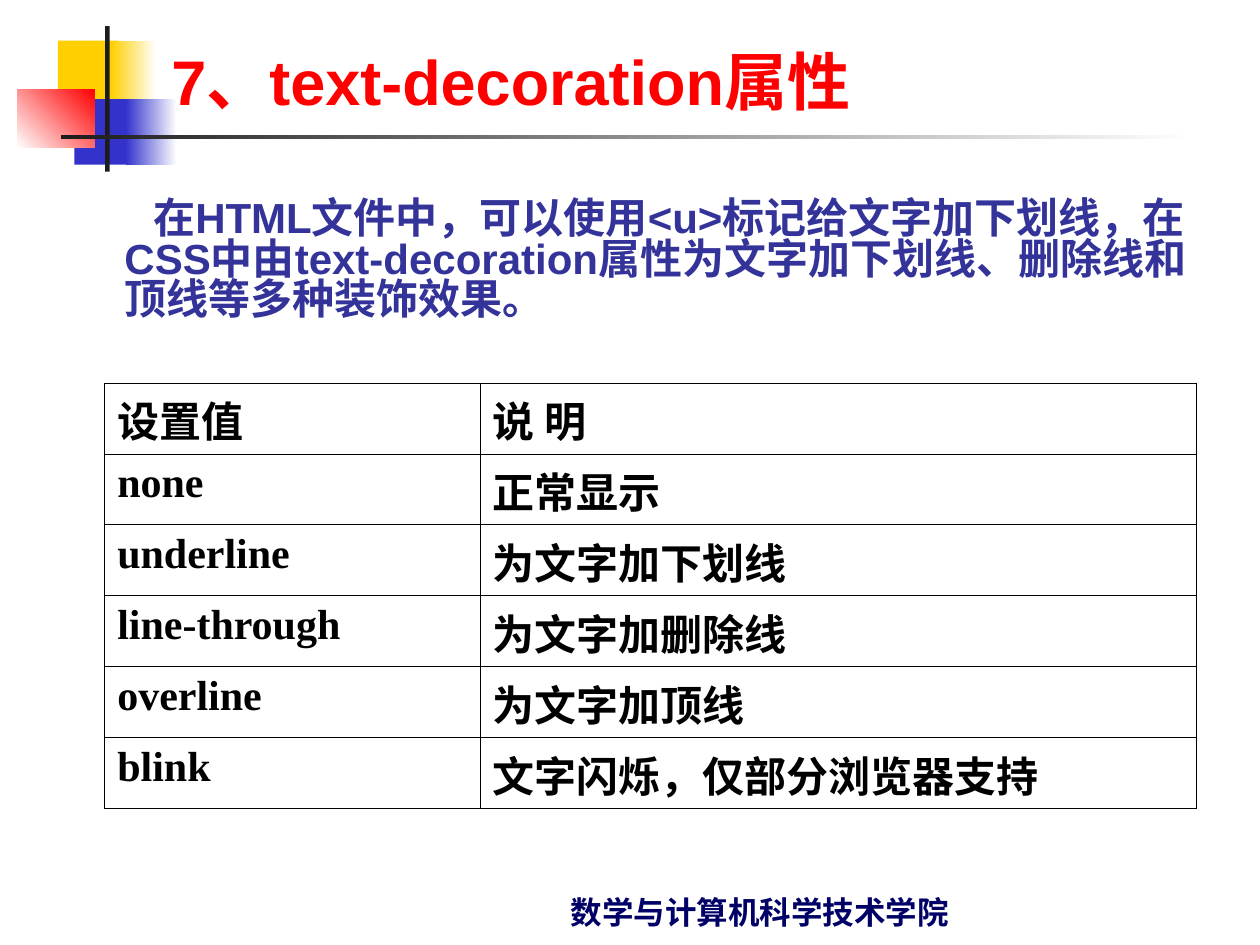
from lxml import etree
from pptx import Presentation
from pptx.dml.color import RGBColor
from pptx.enum.shapes import MSO_SHAPE
from pptx.enum.text import MSO_ANCHOR, MSO_AUTO_SIZE, PP_ALIGN
from pptx.oxml.ns import qn
from pptx.util import Cm, Pt

RECTANGLE = MSO_SHAPE.RECTANGLE
MIDDLE, BOTTOM = MSO_ANCHOR.MIDDLE, MSO_ANCHOR.BOTTOM
LEFT, CENTER = PP_ALIGN.LEFT, PP_ALIGN.CENTER
NO_AUTOFIT = MSO_AUTO_SIZE.NONE

COLORS = {
    "yellow": "FFCF01", "blue": "3333CC", "red": "FF0000", "white": "FFFFFF",
    "bar": "1C1C1C", "body": "333399", "footer": "000066", "black": "000000",
}


def color(name):
    return RGBColor.from_string(COLORS[name])


def add_text(paragraph, text, size, font_name, color_name):
    run = paragraph.add_run()
    run.text = text
    run.font.size = Pt(size)
    run.font.name = font_name
    run.font.bold = True
    run.font.color.rgb = color(color_name)


prs = Presentation()
prs.slide_width, prs.slide_height = Cm(25.4), Cm(19.05)
slide = prs.slides.add_slide(prs.slide_layouts[5])

decorations = [
    (1.17, 0.82, 1.22, 1.32, ["yellow"], 0),
    (2.24, 0.82, 0.91, 1.32, ["yellow", "white"], 0),
    (1.5, 2, 1.17, 1.32, ["blue"], 0),
    (2.54, 2, 1.02, 1.32, ["blue", "white"], 0),
    (0.35, 1.8, 1.56, 1.18, ["white", "red"], 45),
    (2.12, 0.53, 0.09, 2.93, ["bar"], 0),
    (1.23, 2.73, 22.86, 0.08, ["bar", "white"], 0),
]
for left, top, width, height, shades, angle in decorations:
    block = slide.shapes.add_shape(RECTANGLE, Cm(left), Cm(top), Cm(width), Cm(height))
    block.shadow.inherit = False
    block.line.fill.background()
    if len(shades) == 1:
        block.fill.solid()
        block.fill.fore_color.rgb = color(shades[0])
    else:
        block.fill.gradient()
        block.fill.gradient_angle = angle
        for stop, shade in zip(block.fill.gradient_stops, shades):
            stop.color.rgb = color(shade)

title = slide.shapes.title
title.left, title.top, title.width, title.height = Cm(3.2), Cm(0.58), Cm(21.64), Cm(1.93)
heading = title.text_frame
heading.auto_size = NO_AUTOFIT
heading.vertical_anchor = BOTTOM
heading.paragraphs[0].alignment = LEFT
add_text(heading.paragraphs[0], "7、text-decoration属性", 36, "Arial", "red")

intro = slide.shapes.add_textbox(Cm(1.3), Cm(3.94), Cm(23.01), Cm(3)).text_frame
intro.word_wrap = True
intro_paragraph = intro.paragraphs[0]
intro_paragraph.line_spacing = 0.8
intro_properties = intro_paragraph._p.get_or_add_pPr()
intro_properties.set("marL", str(Cm(0.96)))
intro_properties.set("indent", str(Cm(0.58)))
add_text(
    intro_paragraph,
    "在HTML文件中，可以使用<u>标记给文字加下划线，"
    "在CSS中由text-decoration属性为文字加下划线、删除线和顶线等多种装饰效果。",
    24, "Arial", "body",
)

values = [
    ("设置值", "说 明"),
    ("none", "正常显示"),
    ("underline", "为文字加下划线"),
    ("line-through", "为文字加删除线"),
    ("overline", "为文字加顶线"),
    ("blink", "文字闪烁，仅部分浏览器支持"),
]
row_height = 1.43
table = slide.shapes.add_table(
    len(values), 2, Cm(2.11), Cm(7.72), Cm(22), Cm(row_height * len(values))
).table
table.first_row = False
table.horz_banding = False
table.columns[0].width, table.columns[1].width = Cm(7.57), Cm(14.43)
for row, texts in zip(table.rows, values):
    row.height = Cm(row_height)
    for cell, text in zip(row.cells, texts):
        add_text(cell.text_frame.paragraphs[0], text, 24, "Times New Roman", "black")
        cell_properties = cell._tc.get_or_add_tcPr()
        for side in ("lnL", "lnR", "lnT", "lnB"):
            border = etree.SubElement(cell_properties, qn(f"a:{side}"), w=str(Pt(0.45)))
            border_fill = etree.SubElement(border, qn("a:solidFill"))
            etree.SubElement(border_fill, qn("a:srgbClr"), val=COLORS["black"])
        cell.fill.background()

footer = slide.shapes.add_textbox(Cm(10.24), Cm(17.65), Cm(10.16), Cm(1.47)).text_frame
footer.word_wrap = False
footer.vertical_anchor = MIDDLE
footer.paragraphs[0].alignment = CENTER
add_text(footer.paragraphs[0], "数学与计算机科学技术学院", 18, "Times New Roman", "footer")

prs.save("out.pptx")
